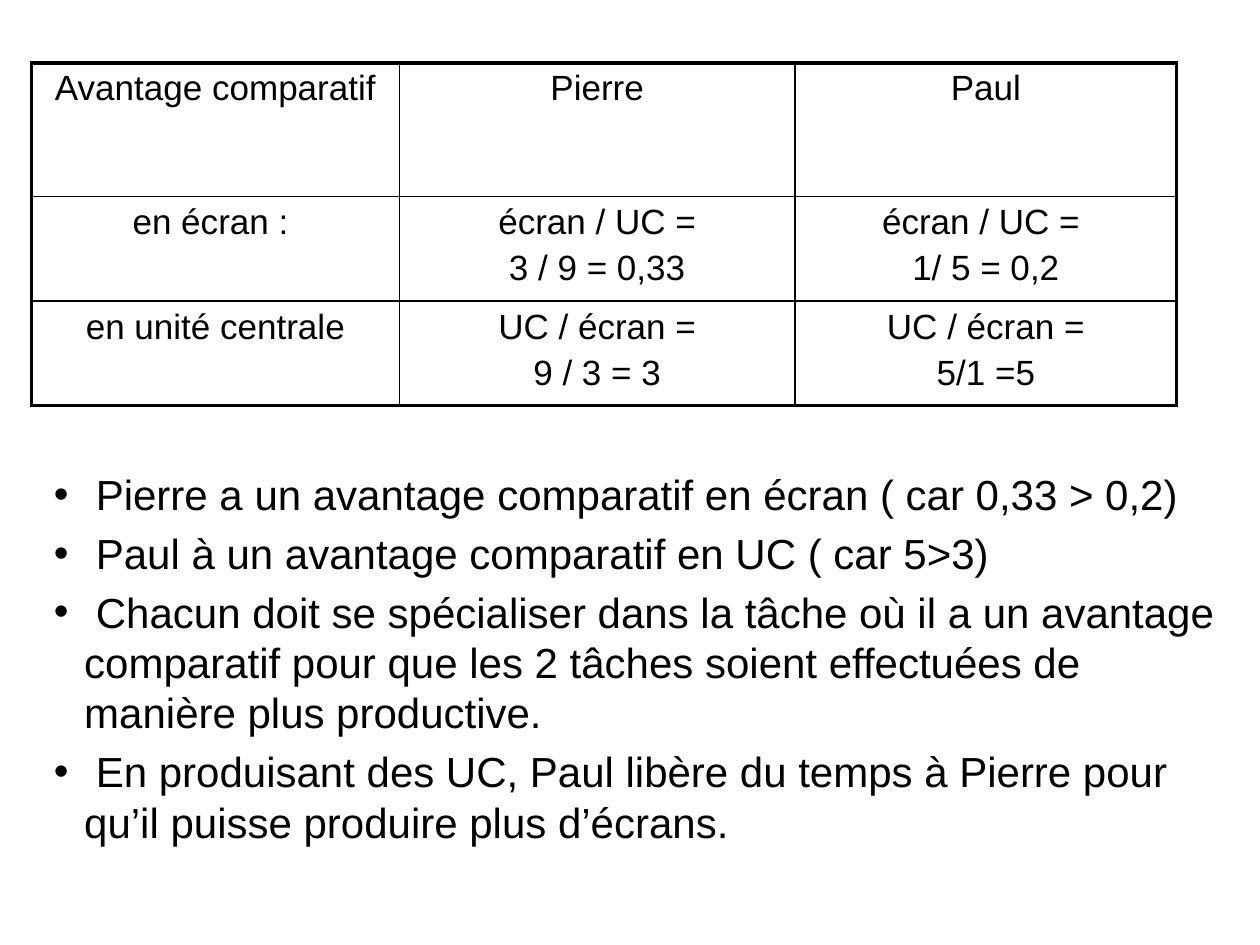
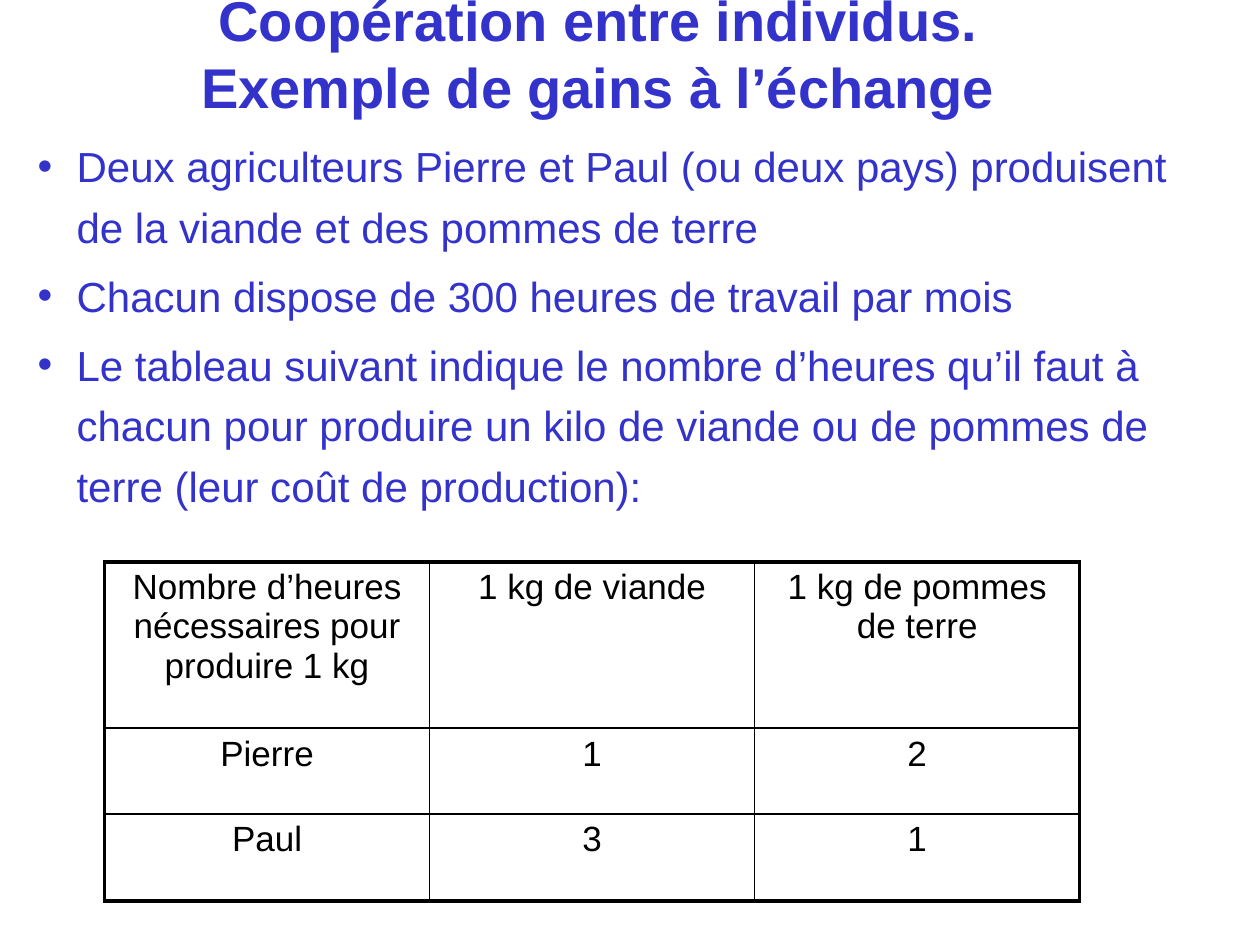
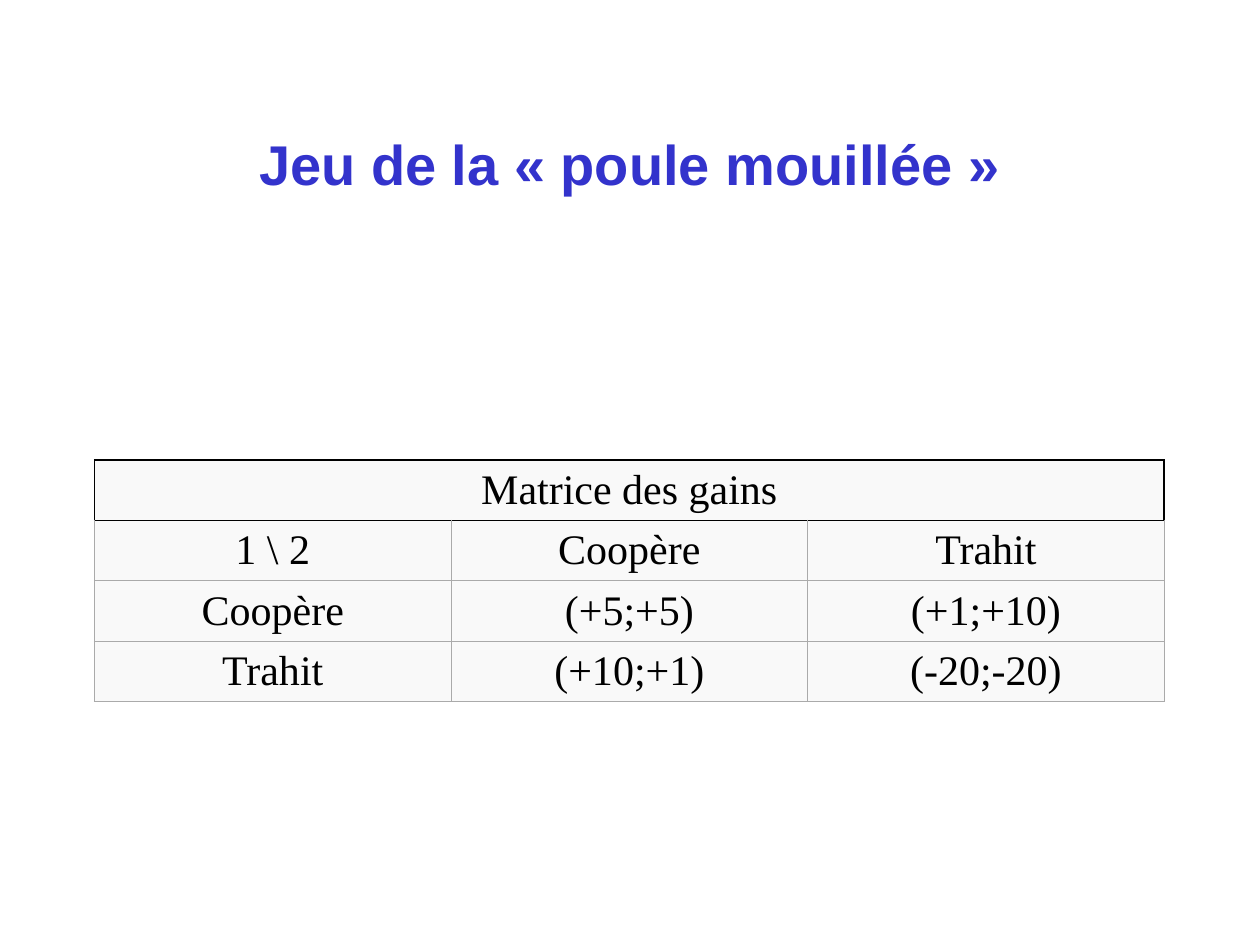
"""Builds three slides on comparative advantage, gains from trade and the chicken game."""
from dataclasses import dataclass

from lxml import etree
from pptx import Presentation
from pptx.dml.color import RGBColor
from pptx.enum.text import MSO_ANCHOR, PP_ALIGN
from pptx.oxml.ns import qn
from pptx.util import Inches, Pt

CENTER, LEFT = PP_ALIGN.CENTER, PP_ALIGN.LEFT
TOP, MIDDLE = MSO_ANCHOR.TOP, MSO_ANCHOR.MIDDLE
BLANK_LAYOUT = 6


@dataclass(frozen=True)
class Theme:
    """Colours, fonts, type sizes and line weights."""
    ink: str = "000000"
    accent: str = "3333CC"
    grid: str = "AAAAAA"
    panel: str = "F9F9F9"
    sans: str = "Arial"
    serif: str = "Times New Roman"
    title_size: int = 32
    body_size: int = 24
    cell_size: int = 20
    frame_weight: float = 2.25
    line_weight: float = 1
    grid_weight: float = 0.75
    paragraph_gap: float = 0.2


@dataclass(frozen=True)
class TextStyle:
    """Look of a block of text."""
    size: int
    color: str
    font: str
    bold: bool = False
    align: int = LEFT
    gap: float = 0
    line_spacing: float = 1


@dataclass(frozen=True)
class TableStyle:
    """Look of a table: text, (colour, weight) lines and cell layout."""
    text: TextStyle
    frame: tuple
    inner: tuple
    header: tuple = None
    fill: str = None
    inset: float = None
    anchor: int = TOP


class Deck:
    """Holds the theme and the current slide and draws each kind of element."""

    def __init__(self, theme):
        self.theme = theme
        self.presentation = Presentation()
        self.presentation.slide_width = Inches(10)
        self.presentation.slide_height = Inches(7.5)
        self.slide = None

    def new_slide(self):
        """Start a blank slide."""
        layout = self.presentation.slide_layouts[BLANK_LAYOUT]
        self.slide = self.presentation.slides.add_slide(layout)

    def add_text(self, frame, paragraphs, style):
        """Fill a text frame; each paragraph is a list of lines."""
        for index, lines in enumerate(paragraphs):
            paragraph = frame.paragraphs[0] if index == 0 else frame.add_paragraph()
            paragraph.alignment = style.align
            paragraph.space_before = Pt(style.size * style.gap)
            paragraph.line_spacing = style.line_spacing
            for number, line in enumerate(lines):
                if number:
                    paragraph.add_line_break()
                run = paragraph.add_run()
                run.text = line
                run.font.size = Pt(style.size)
                run.font.name = style.font
                run.font.bold = style.bold
                run.font.color.rgb = RGBColor.from_string(style.color)

    def text_box(self, box, paragraphs, style, anchor=TOP):
        """Add wrapped text and return its frame."""
        frame = self.slide.shapes.add_textbox(*map(Inches, box)).text_frame
        frame.word_wrap = True
        frame.vertical_anchor = anchor
        self.add_text(frame, paragraphs, style)
        return frame

    def title(self, box, *lines):
        """Add a centred bold title."""
        theme = self.theme
        style = TextStyle(theme.title_size, theme.accent, theme.sans, True, CENTER)
        self.text_box(box, [lines], style, MIDDLE)

    def bullets(self, box, items, color, hanging, line_spacing=1):
        """Add a bulleted list with a hanging indent."""
        theme = self.theme
        style = TextStyle(theme.body_size, color, theme.sans,
                          gap=theme.paragraph_gap, line_spacing=line_spacing)
        frame = self.text_box(box, [[item] for item in items], style)
        for paragraph in frame.paragraphs:
            properties = paragraph._p.get_or_add_pPr()
            properties.set("marL", str(Inches(hanging)))
            properties.set("indent", str(-Inches(hanging)))
            etree.SubElement(properties, qn("a:buFont"), typeface=theme.sans)
            etree.SubElement(properties, qn("a:buChar"), char="•")

    def cell_borders(self, cell, lines):
        """Draw the (colour, weight) lines of a cell: left, right, top, bottom."""
        properties = cell._tc.get_or_add_tcPr()
        for side, (color, weight) in zip("LRTB", lines):
            line = etree.SubElement(properties, qn(f"a:ln{side}"), w=str(Pt(weight)))
            fill = etree.SubElement(line, qn("a:solidFill"))
            etree.SubElement(fill, qn("a:srgbClr"), val=color)

    def table(self, left, top, widths, heights, rows, style):
        """Add a table; a row shorter than the grid spans its last cell."""
        size = (len(heights), len(widths))
        box = map(Inches, (left, top, sum(widths), sum(heights)))
        table = self.slide.shapes.add_table(*size, *box).table
        table.first_row = table.horz_banding = False
        for column, width in zip(table.columns, widths):
            column.width = Inches(width)
        for row, height in zip(table.rows, heights):
            row.height = Inches(height)
        last_row, last_column = size[0] - 1, size[1] - 1
        for r, texts in enumerate(rows):
            if len(texts) <= last_column:
                table.cell(r, len(texts) - 1).merge(table.cell(r, last_column))
            for c in range(size[1]):
                cell = table.cell(r, c)
                outer = (c == 0, c == last_column, r == 0, r == last_row)
                lines = [style.frame if edge else style.inner for edge in outer]
                if style.header and r == 0:
                    lines = [style.header] * 4
                elif style.header and r == 1:
                    lines[2] = style.header
                self.cell_borders(cell, lines)
                if style.fill:
                    cell.fill.solid()
                    cell.fill.fore_color.rgb = RGBColor.from_string(style.fill)
                else:
                    cell.fill.background()
                cell.vertical_anchor = style.anchor
                if style.inset is not None:
                    cell.margin_left = cell.margin_right = Inches(style.inset)
                    cell.margin_top = cell.margin_bottom = Inches(style.inset)
                if c < len(texts):
                    paragraphs = [[text] for text in texts[c].split("\n")]
                    self.add_text(cell.text_frame, paragraphs, style.text)


def main():
    """Build and save the deck."""
    theme = Theme()
    deck = Deck(theme)
    framed = TableStyle(
        TextStyle(theme.cell_size, theme.ink, theme.sans, align=CENTER,
                  gap=theme.paragraph_gap),
        frame=(theme.ink, theme.frame_weight),
        inner=(theme.ink, theme.line_weight))
    payoff = TableStyle(
        TextStyle(theme.body_size, theme.ink, theme.serif, align=CENTER),
        frame=(theme.grid, theme.grid_weight),
        inner=(theme.grid, theme.grid_weight),
        header=(theme.ink, theme.line_weight),
        fill=theme.panel, inset=0.04, anchor=MIDDLE)

    deck.new_slide()
    deck.table(0.25, 0.5, (2.92, 3.14, 3.03), (1.06, 0.83, 0.83), [
        ("Avantage comparatif", "Pierre", "Paul"),
        ("en écran : ", "écran / UC =\n3 / 9 = 0,33", "écran / UC = \n1/ 5 = 0,2"),
        ("en unité centrale", "UC / écran =\n9 / 3 = 3", "UC / écran =\n5/1 =5"),
    ], framed)
    deck.bullets((0.33, 3.67, 9.42, 3.17), [
        " Pierre a un avantage comparatif en écran ( car 0,33 > 0,2)",
        " Paul à un avantage comparatif en UC ( car 5>3)",
        " Chacun doit se spécialiser dans la tâche où il a un avantage comparatif "
        "pour que les 2 tâches soient effectuées de manière plus productive.",
        " En produisant des UC, Paul libère du temps à Pierre pour qu’il puisse "
        "produire plus d’écrans.",
    ], theme.ink, hanging=0.24)

    deck.new_slide()
    deck.title((0.25, 0, 9, 0.83),
               "Coopération entre individus.", "Exemple de gains à l’échange")
    deck.bullets((0.2, 0.99, 9.33, 3), [
        "Deux agriculteurs Pierre et Paul (ou deux pays) produisent de la viande "
        "et des pommes de terre",
        "Chacun dispose de 300 heures de travail par mois",
        "Le tableau suivant indique le nombre d’heures qu’il faut à chacun pour "
        "produire un kilo de viande ou de pommes de terre (leur coût de production):",
    ], theme.accent, hanging=0.31, line_spacing=1.2)
    deck.table(0.83, 4.46, [2.58] * 3, (1.32, 0.68, 0.69), [
        ("Nombre d’heures nécessaires pour produire 1 kg", "1 kg de viande",
         "1 kg de pommes de terre"),
        ("Pierre", "1", "2"),
        ("Paul", "3", "1"),
    ], framed)

    deck.new_slide()
    deck.title((0.75, 0.67, 8.5, 1.25), "Jeu de la « poule mouillée »")
    deck.table(0.75, 3.65, [2.83] * 3, [0.45] * 4, [
        ("Matrice des gains",),
        ("1 \\ 2", "Coopère", "Trahit"),
        ("Coopère", "(+5;+5)", "(+1;+10)"),
        ("Trahit", "(+10;+1)", "(-20;-20)"),
    ], payoff)

    deck.presentation.save("out.pptx")


if __name__ == "__main__":
    main()
